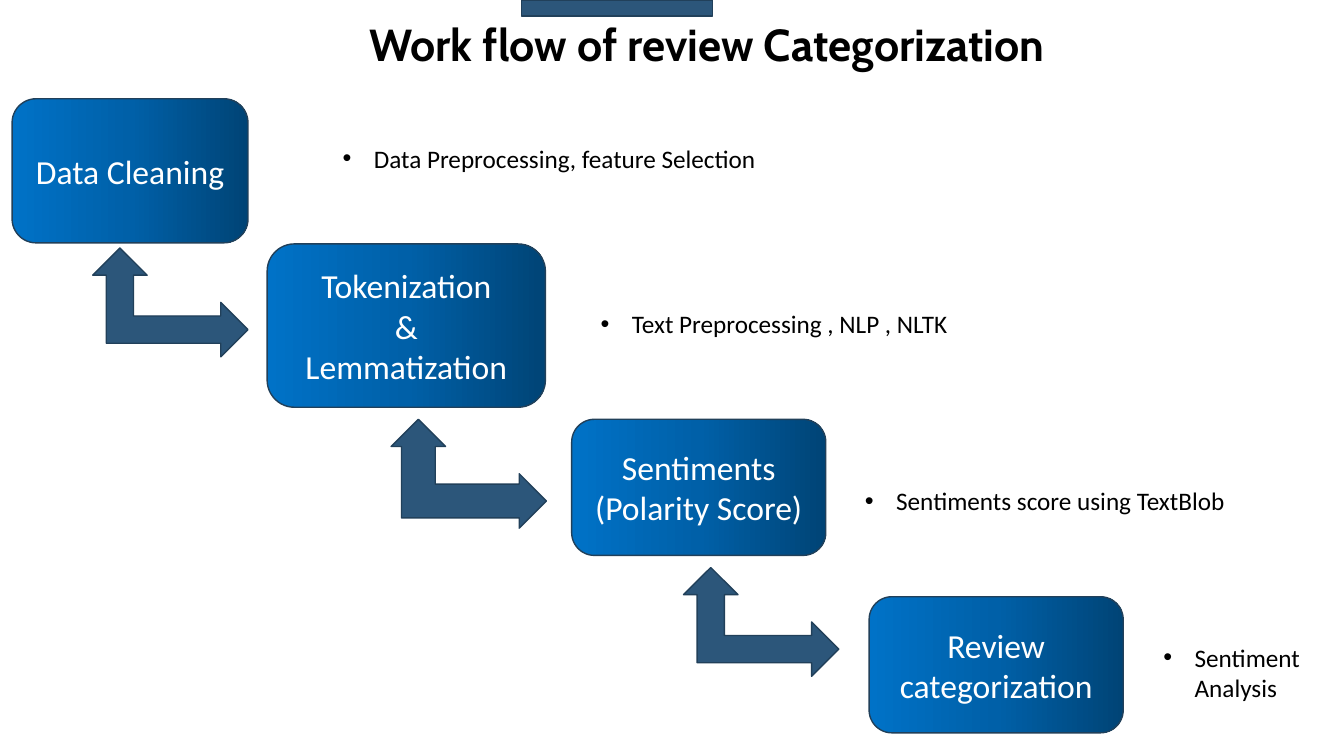
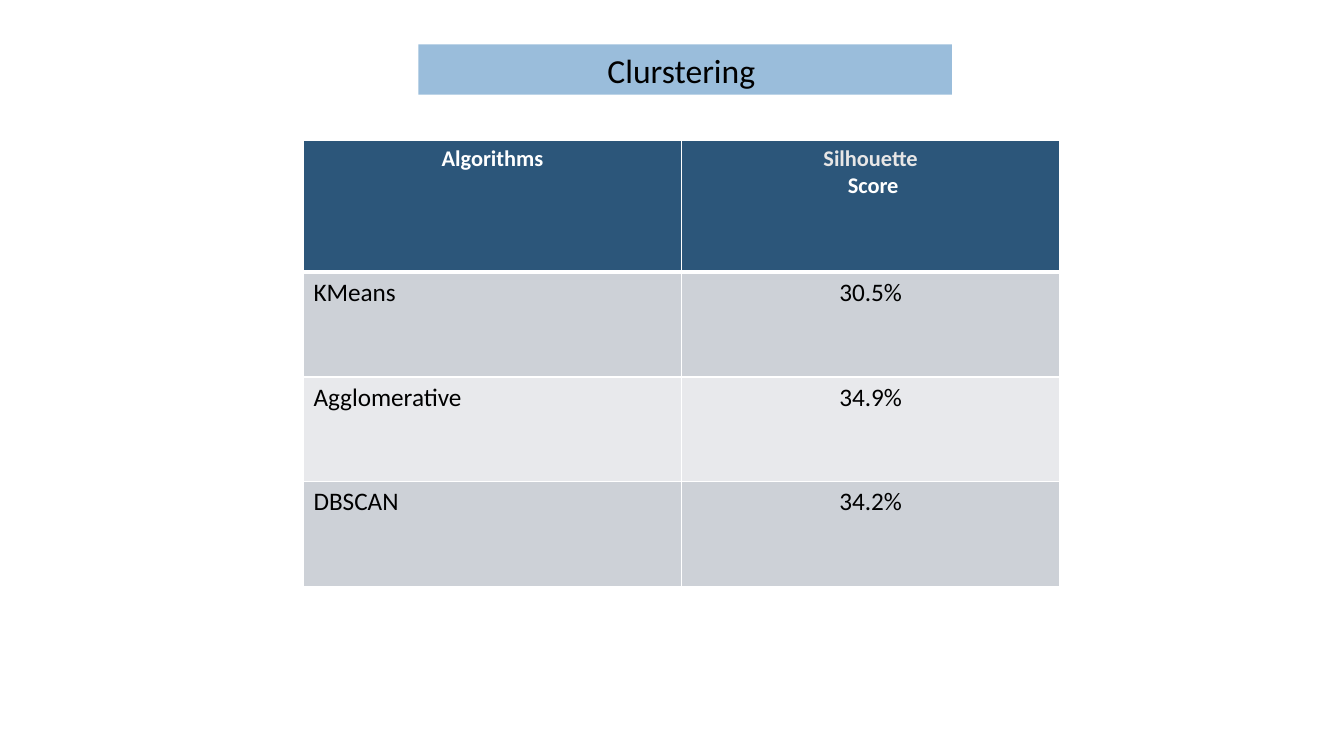
from copy import deepcopy
from dataclasses import dataclass

from lxml.etree import SubElement
from pptx import Presentation
from pptx.dml.color import RGBColor
from pptx.enum.shapes import MSO_SHAPE
from pptx.enum.text import MSO_ANCHOR, MSO_AUTO_SIZE, PP_ALIGN
from pptx.oxml.ns import qn
from pptx.util import Inches, Pt

COLORS = {
    "black": "000000",
    "white": "FFFFFF",
    "pale": "E7E6E6",
    "navy": "2C567A",
    "outline": "21405A",
    "sky": "9ABDDB",
    "band_dark": "CDD1D7",
    "band_light": "E8E9EC",
    "gradient_light": "0072C7",
    "gradient_middle": "0060A8",
    "gradient_dark": "004476",
}
BODY_FONT = "Calibri"
TITLE_FONT = "Cabin"
TITLE_ONLY_LAYOUT = 5


@dataclass
class Box:
    left: float
    top: float
    width: float
    height: float

    def inside(self, left, top, width, height):
        return Box(self.left + left, self.top + top, width, height)

    def lengths(self):
        return [Inches(n) for n in (self.left, self.top, self.width, self.height)]


@dataclass
class Step:
    box: Box
    lines: list
    note: str
    note_place: tuple
    arrow_offset: tuple = None
    arrow_shaft: float = 0.25


STEPS = [
    Step(Box(0.12, 0.98, 2.34, 1.43), ["Data Cleaning"],
         "Data Preprocessing, feature Selection", (3.18, 0.39, 4.64, 0.4), (0.8, 1.48)),
    Step(Box(2.65, 2.42, 2.76, 1.62), ["Tokenization", "&", "Lemmatization"],
         "Text Preprocessing , NLP , NLTK", (3.21, 0.59, 3.9, 0.4), (1.23, 1.74), 0.31),
    Step(Box(5.67, 4.16, 2.52, 1.35), ["Sentiments (Polarity Score)"],
         "Sentiments score using TextBlob", (2.81, 0.61, 3.95, 0.4), (1.11, 1.47)),
    Step(Box(8.62, 5.92, 2.52, 1.35), ["Review categorization"],
         "Sentiment Analysis", (2.82, 0.4, 1.72, 0.71)),
]
SCORES = [("KMeans", "30.5%"), ("Agglomerative", "34.9%"), ("DBSCAN", "34.2%")]


def color(name):
    return RGBColor.from_string(COLORS[name])


def paint(shape, name):
    shape.fill.solid()
    shape.fill.fore_color.rgb = color(name)


def write(frame, lines, size, name, align=PP_ALIGN.LEFT, font=BODY_FONT, bold=False):
    frame.text = "\n".join(lines)
    for para in frame.paragraphs:
        para.alignment = align
        para.font.name = font
        para.font.size = Pt(size)
        para.font.bold = bold
        para.font.color.rgb = color(name)


def add_title(page, box, text, size, **style):
    title = page.shapes.title
    title.left, title.top, title.width, title.height = box.lengths()
    frame = title.text_frame
    write(frame, [text], size, "black", **style)
    frame.auto_size = MSO_AUTO_SIZE.NONE
    frame.vertical_anchor = MSO_ANCHOR.MIDDLE
    frame.margin_left = frame.margin_right = 0
    frame.margin_top = frame.margin_bottom = 0
    return title


def add_outlined(page, kind, box):
    shape = page.shapes.add_shape(kind, *box.lengths())
    shape.shadow.inherit = False
    paint(shape, "navy")
    shape.line.color.rgb = color("outline")
    shape.line.width = Pt(1)
    return shape


def paint_gradient(shape):
    shape.fill.gradient()
    shape.fill.gradient_angle = 0
    stop_list = shape._element.spPr.find(qn("a:gradFill")).find(qn("a:gsLst"))
    stop_list.insert(1, deepcopy(stop_list[0]))
    names = ("gradient_light", "gradient_middle", "gradient_dark")
    for index, (stop, name) in enumerate(zip(shape.fill.gradient_stops, names)):
        stop.position = index / 2
        stop.color.rgb = color(name)


def add_note(page, box, text):
    note = page.shapes.add_textbox(*box.lengths())
    note.text_frame.word_wrap = True
    write(note.text_frame, [text], 18, "black")
    properties = note.text_frame.paragraphs[0]._p.get_or_add_pPr()
    properties.set("marL", str(Inches(0.31)))
    properties.set("indent", str(-Inches(0.31)))
    bullet_font = properties.makeelement(qn("a:buFont"), {"typeface": "Arial"})
    bullet = properties.makeelement(qn("a:buChar"), {"char": "•"})
    properties.insert(0, bullet_font)
    properties.insert(1, bullet)


def add_step(page, step):
    card = add_outlined(page, MSO_SHAPE.ROUNDED_RECTANGLE, step.box)
    paint_gradient(card)
    card.text_frame.vertical_anchor = MSO_ANCHOR.MIDDLE
    write(card.text_frame, step.lines, 24, "white", PP_ALIGN.CENTER)
    add_note(page, step.box.inside(*step.note_place), step.note)
    if step.arrow_offset:
        arrow = add_outlined(page, MSO_SHAPE.LEFT_UP_ARROW,
                             step.box.inside(*step.arrow_offset, 1.54, 1.08))
        arrow.adjustments[0] = step.arrow_shaft
        arrow._element.spPr.xfrm.set("flipH", "1")


def set_borders(cell, bottom_width):
    properties = cell._tc.get_or_add_tcPr()
    for side, width in (("L", 1), ("R", 1), ("T", 1), ("B", bottom_width)):
        line = SubElement(properties, qn(f"a:ln{side}"), w=str(Pt(width)))
        fill = SubElement(line, qn("a:solidFill"))
        SubElement(fill, qn("a:srgbClr"), val=COLORS["white"])


def fill_cell(cell, lines, fill, size, name, align, bold=False, bottom_width=1):
    set_borders(cell, bottom_width)
    paint(cell, fill)
    write(cell.text_frame, lines, size, name, align, bold=bold)


def add_score_table(page, box):
    table = page.shapes.add_table(len(SCORES) + 1, 2, *box.lengths()).table
    header_height = 1.31
    row_height = (box.height - header_height) / len(SCORES)
    for column in table.columns:
        column.width = Inches(box.width / 2)
    for index, row in enumerate(table.rows):
        row.height = Inches(row_height if index else header_height)
    for index, lines in enumerate((["Algorithms"], ["Silhouette", " Score"])):
        fill_cell(table.cell(0, index), lines, "navy", 16, "white",
                  PP_ALIGN.CENTER, bold=True, bottom_width=3)
    table.cell(0, 1).text_frame.paragraphs[0].font.color.rgb = color("pale")
    for row, values in enumerate(SCORES, 1):
        fill = "band_dark" if row % 2 else "band_light"
        for column, value in enumerate(values):
            align = PP_ALIGN.CENTER if column else PP_ALIGN.LEFT
            fill_cell(table.cell(row, column), [value], fill, 18, "black", align)


def add_workflow_slide(deck):
    page = deck.slides.add_slide(deck.slide_layouts[TITLE_ONLY_LAYOUT])
    title = add_title(page, Box(3.66, 0.2, 7.34, 0.54), "Work flow of review Categorization",
                      32, font=TITLE_FONT, bold=True)
    title.text_frame.paragraphs[0].line_spacing = 0.9
    add_outlined(page, MSO_SHAPE.RECTANGLE, Box(5.17, 0, 1.9, 0.16))
    for step in STEPS:
        add_step(page, step)


def add_clustering_slide(deck):
    page = deck.slides.add_slide(deck.slide_layouts[TITLE_ONLY_LAYOUT])
    title = add_title(page, Box(4.15, 0.44, 5.29, 0.5), "Clurstering ", 24,
                      align=PP_ALIGN.CENTER)
    paint(title, "sky")
    add_score_table(page, Box(3.01, 1.39, 7.5, 4.43))


def main():
    deck = Presentation()
    deck.slide_width = Inches(13.33)
    deck.slide_height = Inches(7.5)
    add_workflow_slide(deck)
    add_clustering_slide(deck)
    deck.save("out.pptx")


if __name__ == "__main__":
    main()
